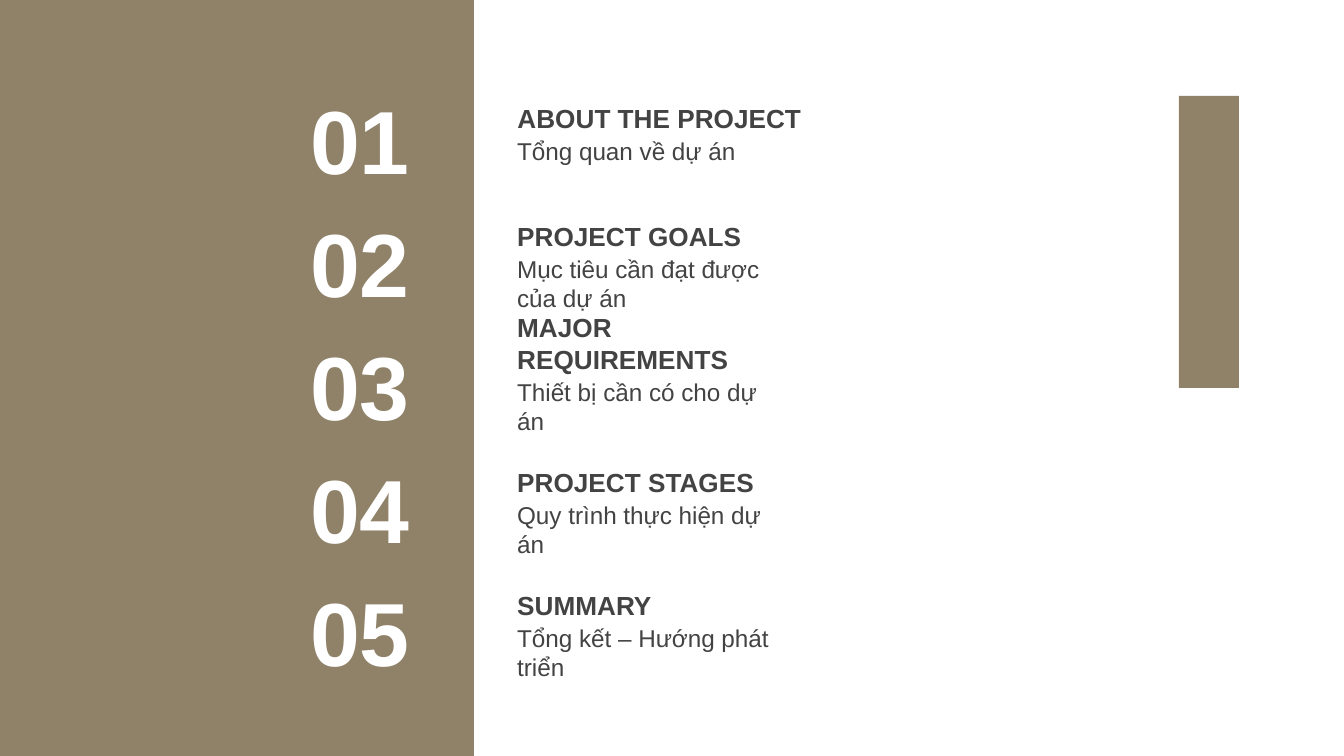
from dataclasses import dataclass

from pptx import Presentation, util as u
from pptx.dml.color import RGBColor
from pptx.enum import shapes, text

EMU_PER_PX = 914400 / 134.4


@dataclass(frozen=True)
class Theme:
    """Hold the colours, font and type sizes of the slide."""
    accent: RGBColor = RGBColor.from_string("908269")
    ink: RGBColor = RGBColor.from_string("434343")
    paper: RGBColor = RGBColor.from_string("FFFFFF")
    font: str = "Arial"
    number: int = 48
    heading: int = 14
    summary: int = 13


THEME = Theme()
TOPICS = [
    ("ABOUT THE PROJECT", "Tổng quan về dự án"),
    ("PROJECT GOALS", "Mục tiêu cần đạt được của dự án"),
    ("MAJOR REQUIREMENTS", "Thiết bị cần có cho dự án"),
    ("PROJECT STAGES", "Quy trình thực hiện dự án"),
    ("SUMMARY", "Tổng kết – Hướng phát triển"),
]


def px(length):
    """Turn a length in px into EMU."""
    return u.Emu(round(length * EMU_PER_PX))


def add_band(slide, left, top, width, height):
    """Draw a plain accent rectangle."""
    band = slide.shapes.add_shape(
        shapes.MSO_SHAPE.RECTANGLE, px(left), px(top), px(width), px(height))
    band.shadow.inherit = False
    band.fill.solid()
    band.fill.fore_color.rgb = THEME.accent
    band.line.fill.background()


def write(label, box, words, size, color, bold, anchor):
    """Place a label in its box and set its wording and type."""
    label.left, label.top, label.width, label.height = map(px, box)
    frame = label.text_frame
    frame.text = words
    frame.word_wrap = True
    frame.auto_size = text.MSO_AUTO_SIZE.NONE
    frame.vertical_anchor = anchor
    frame.margin_left = frame.margin_right = u.Inches(0.1)
    frame.margin_top = frame.margin_bottom = u.Inches(0.1)
    line = frame.paragraphs[0]
    line.alignment = text.PP_ALIGN.LEFT
    font = line.runs[0].font
    font.name, font.size, font.bold = THEME.font, u.Pt(size), bold
    font.color.rgb = color


def add_topic(slide, left, top, number, heading, summary, drop, title=None):
    """Set one agenda row: number, heading and summary."""
    def label():
        return slide.shapes.add_textbox(0, 0, 0, 0)

    anchors = text.MSO_ANCHOR
    text_left, text_top = left + 207, top - 39 + drop
    write(label(), (left, top, 240, 85), number,
          THEME.number, THEME.paper, True, anchors.MIDDLE)
    write(title or label(), (text_left, text_top, 331, 85), heading,
          THEME.heading, THEME.ink, True, anchors.BOTTOM)
    write(label(), (text_left, text_top + 61, 280, 85), summary,
          THEME.summary, THEME.ink, False, anchors.TOP)


def add_agenda(slide, left, top, pitch):
    """Stack the agenda rows; the first heading is the slide title."""
    for index, (heading, summary) in enumerate(TOPICS):
        first = index == 0
        add_topic(slide, left, top + index * pitch, f"{index + 1:02}",
                  heading, summary, drop=5 if first else 0,
                  title=slide.shapes.title if first else None)


def main():
    """Build and save the agenda slide."""
    deck = Presentation()
    deck.slide_width, deck.slide_height = px(1344), px(756)
    slide = deck.slides.add_slide(deck.slide_layouts[5])
    slide.background.fill.solid()
    slide.background.fill.fore_color.rgb = THEME.paper
    add_band(slide, 0, 0, 474, 756)
    add_agenda(slide, 297, 96, 123)
    add_band(slide, 1179, 96, 60, 292)
    deck.save("out.pptx")


if __name__ == "__main__":
    main()
